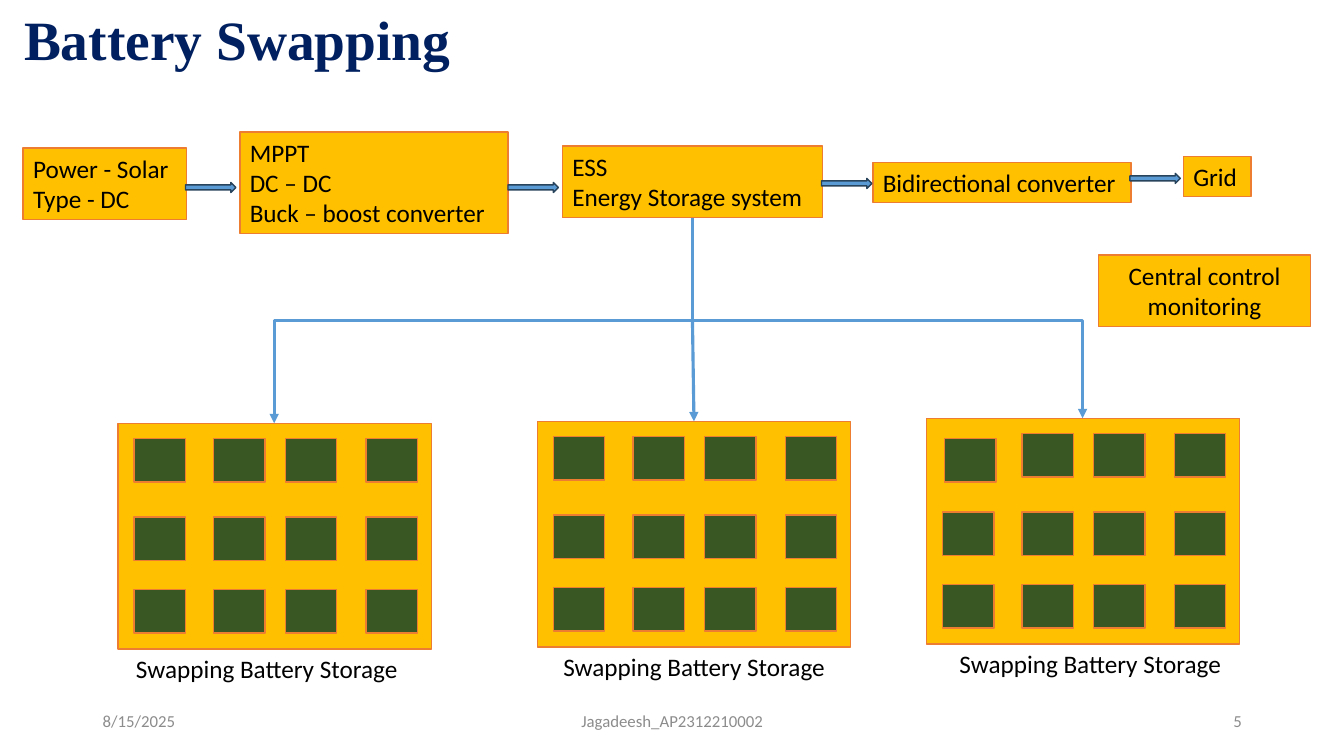
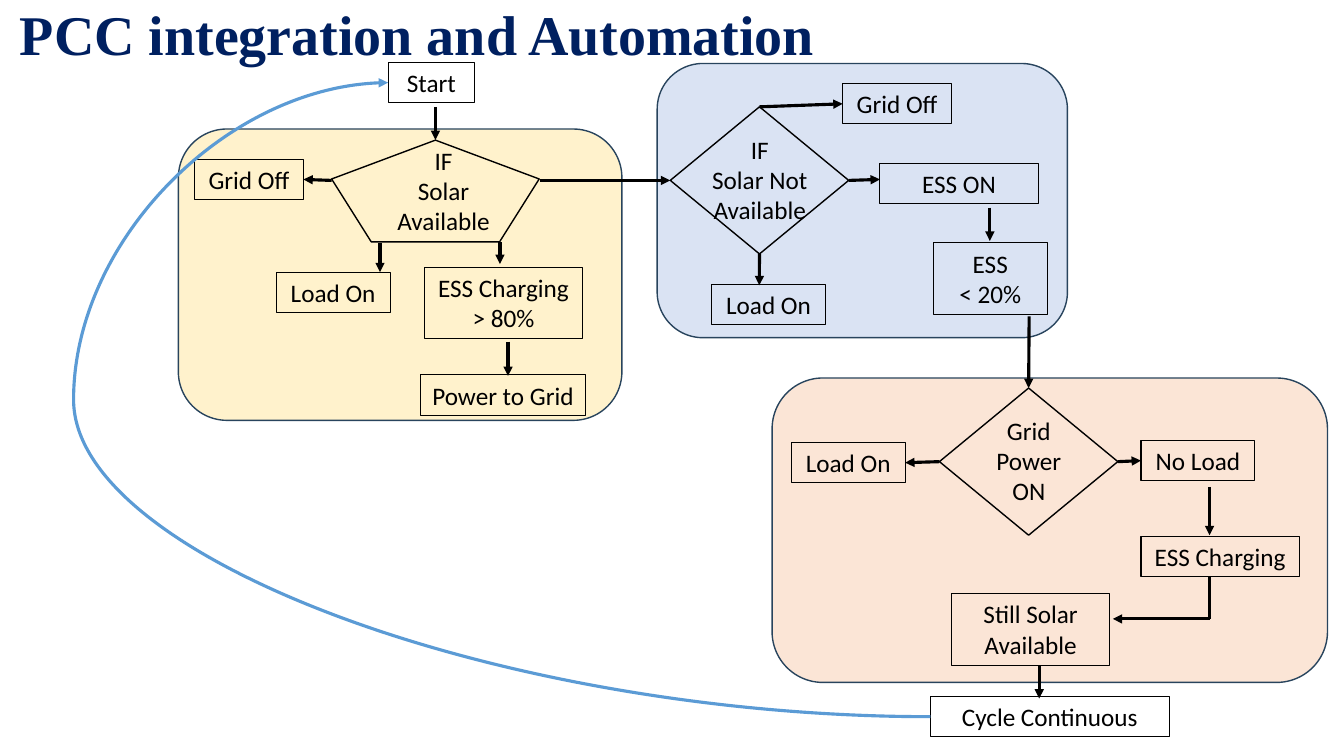
from pptx import Presentation
from pptx import util as u
from pptx.dml.color import RGBColor
from pptx.enum import shapes, text
from pptx.oxml.ns import qn
from lxml import etree

COLUMNS, ROWS = 40, 22.5
CELL = u.Inches(1) / 3
FORM = shapes.MSO_SHAPE
ALIGN = text.PP_ALIGN
ANCHOR = text.MSO_ANCHOR
TOP, LEFT, BOTTOM, RIGHT = range(4)
BOX_ROWS = {1: 1.2, 2: 2.13, 3: 3.03}

COLORS = {
    "navy": "002060",
    "gray": "8C8C8C",
    "black": "000000",
    "gold": "FFC000",
    "orange": "ED7D31",
    "green": "385723",
    "blue": "5B9BD5",
    "steel": "28445D",
    "peach": "FBE5D6",
    "sky": "DAE3F3",
    "cream": "FFF2CC",
}


def color(name):
    return RGBColor.from_string(COLORS[name])


def grid(*counts):
    return [u.Emu(round(count * CELL)) for count in counts]


def write(frame, words, size=18, font="Calibri", ink="black", bold=False,
          align=ALIGN.LEFT, anchor=ANCHOR.TOP, spacing=None):
    frame.word_wrap = True
    frame.vertical_anchor = anchor
    for index, line in enumerate(words.split("\n")):
        para = frame.paragraphs[0] if index == 0 else frame.add_paragraph()
        para.alignment = align
        if spacing:
            para.line_spacing = spacing
        span = para.add_run()
        span.text = line
        span.font.size = u.Pt(size)
        span.font.name = font
        span.font.bold = bold
        span.font.color.rgb = color(ink)


def label(page, words, left, top, width, height, **style):
    box = page.shapes.add_textbox(*grid(left, top, width, height))
    write(box.text_frame, words, **style)


def title(page, words, left, top, height, size):
    label(page, words, left, top, 34.5, height, size=size, font="Times New Roman",
          ink="navy", bold=True, anchor=ANCHOR.MIDDLE, spacing=0.9)


def footer(page, date, author, number):
    parts = [
        (date, 2.76, 9, ALIGN.LEFT),
        (author, 13.26, 13.5, ALIGN.CENTER),
        (number, 28.26, 9, ALIGN.RIGHT),
    ]
    for words, left, width, align in parts:
        label(page, words, left, 20.85, width, 1.2, size=12, ink="gray",
              align=align, anchor=ANCHOR.MIDDLE)


def shape(page, form, left, top, width, height, fill=None, edge="orange", weight=1):
    box = page.shapes.add_shape(form, *grid(left, top, width, height))
    box.shadow.inherit = False
    if fill:
        box.fill.solid()
        box.fill.fore_color.rgb = color(fill)
    else:
        box.fill.background()
    box.line.color.rgb = color(edge)
    box.line.width = u.Pt(weight)
    return box


def stage(page, words, left, top, width, lines=1, align=ALIGN.LEFT):
    box = shape(page, FORM.RECTANGLE, left, top, width, BOX_ROWS[lines], "gold")
    write(box.text_frame, words, align=align)


def step(page, words, left, top, width, lines=1):
    box = shape(page, FORM.RECTANGLE, left, top, width, BOX_ROWS[lines],
                edge="black", weight=0.75)
    write(box.text_frame, words, align=ALIGN.CENTER)
    return box


def decision(page, words, left, top):
    box = shape(page, FORM.FLOWCHART_DECISION, left, top, 5.31, 4.38, edge="black")
    label(page, words, left + 0.83, top + 0.66, 3.66, 3.03, align=ALIGN.CENTER)
    return box


def link(page, start, finish, ink="black", arrow=True, begin=None, end=None,
         kind=shapes.MSO_CONNECTOR.STRAIGHT, preset=None, turn=0, bend=None):
    if turn:
        middle = [(a + b) / 2 for a, b in zip(start, finish)]
        half = [abs(a - b) / 2 for a, b in zip(start, finish)]
        if turn == 90:
            half.reverse()
        start = [m - h for m, h in zip(middle, half)]
        finish = [m + h for m, h in zip(middle, half)]
    line = page.shapes.add_connector(kind, *grid(*start, *finish))
    line.line.color.rgb = color(ink)
    line.line.width = u.Pt(2.25)
    if begin:
        line.begin_connect(*begin)
    if end:
        line.end_connect(*end)
    properties = line._element.spPr
    geometry = properties.find(qn("a:prstGeom"))
    if turn:
        properties.find(qn("a:xfrm")).set("rot", str(turn * 60000))
    if preset:
        geometry.set("prst", preset)
    if bend:
        guide = etree.SubElement(geometry.find(qn("a:avLst")), qn("a:gd"))
        guide.set("name", "adj1")
        guide.set("fmla", f"val {round(bend * 100000)}")
    if arrow:
        tip = etree.SubElement(properties.find(qn("a:ln")), qn("a:tailEnd"))
        tip.set("type", "triangle")
    etree.SubElement(properties, qn("a:effectLst"))


def storage(page, left, top, caption_left, nudges):
    rack = shape(page, FORM.RECTANGLE, left, top, 9.33, 6.72, "gold")
    for row, down in enumerate((0.46, 2.79, 4.95)):
        for column, across in enumerate((0.48, 2.85, 4.98, 7.38)):
            right, lower = nudges.get((row, column), (0, 0))
            shape(page, FORM.RECTANGLE, left + across + right, top + down + lower,
                  1.53, 1.29, "green")
    label(page, "Swapping Battery Storage", caption_left, top + 6.7, 8.85, 1.2)
    return rack


def swapping_page(page):
    title(page, "Battery Swapping", 0.42, 0.45, 1.62, 39.6)
    footer(page, "8/15/2025", "Jagadeesh_AP2312210002", "5")

    stage(page, "Power - Solar\nType - DC", 0.69, 4.41, 4.86, 2)
    stage(page, "MPPT\nDC – DC\nBuck – boost converter", 7.14, 3.93, 7.98, 3)
    stage(page, "ESS\nEnergy Storage system", 16.74, 4.35, 7.74, 2)
    stage(page, "Bidirectional converter", 25.98, 4.83, 7.68)
    stage(page, "Grid", 35.22, 4.65, 2.01)
    stage(page, "Central control monitoring", 32.7, 7.59, 6.3, 2, ALIGN.CENTER)
    for left, top in ((5.52, 5.43), (15.12, 5.43), (24.45, 5.31), (33.63, 5.16)):
        shape(page, FORM.RIGHT_ARROW, left, top, 1.5, 0.3, "blue", "steel")

    storage(page, 3.51, 12.6, 3.75, {})
    center = storage(page, 15.99, 12.54, 16.47, {})
    storage(page, 27.57, 12.45, 28.26, {(0, 0): (0.06, 0.15)})

    elbow = shapes.MSO_CONNECTOR.ELBOW
    fork = (20.61, 9.54)
    link(page, (20.61, 6.48), (8.16, 12.6), "blue", kind=elbow, turn=90)
    link(page, fork, (20.66, 12.54), "blue", end=(center, TOP))
    link(page, fork, (32.22, 12.45), "blue", kind=elbow, preset="bentConnector2")


def automation_page(page):
    panels = [
        (22.98, 11.25, 16.53, 9.06, "peach"),
        (19.56, 1.89, 12.21, 8.16, "sky"),
        (5.31, 3.84, 13.2, 8.67, "cream"),
    ]
    for panel in panels:
        shape(page, FORM.ROUNDED_RECTANGLE, *panel, edge="steel")
    title(page, "PCC integration and Automation", 0.3, 0, 2.22, 40)

    step(page, "Start", 11.55, 1.86, 2.58)
    solar = shape(page, FORM.REGULAR_PENTAGON, 9.87, 4.17, 6.18, 3.03, edge="black")
    label(page, "IF\nSolar Available", 11.37, 4.17, 3.66, 3.03, align=ALIGN.CENTER)
    solar_grid_off = step(page, "Grid Off", 5.79, 4.74, 3.24)
    step(page, "Load On", 8.22, 8.1, 3.39)
    step(page, "ESS Charging > 80%", 12.63, 7.95, 4.71, 2)
    step(page, "Power to Grid", 12.51, 11.16, 4.92)

    no_solar = decision(page, "IF\nSolar Not Available", 19.95, 3.18)
    grid_off = step(page, "Grid Off", 25.08, 2.49, 3.24)
    step(page, "ESS ON", 26.19, 4.86, 4.71)
    step(page, "Load On", 21.18, 8.46, 3.39)
    step(page, "ESS\n< 20%", 27.78, 7.23, 3.39, 2)

    grid_power = decision(page, "Grid\nPower\nON", 27.96, 11.55)
    load_on = step(page, "Load On", 23.55, 13.17, 3.39)
    no_load = step(page, "No Load", 33.96, 13.11, 3.39)
    step(page, "ESS Charging", 33.96, 15.96, 4.71)
    step(page, "Still Solar Available", 28.32, 17.67, 4.71, 2)
    step(page, "Cycle Continuous", 27.69, 20.73, 7.11)

    link(page, (12.96, 3.18), (12.96, 4.17), end=(solar, TOP))
    link(page, (9.87, 5.37), (9.03, 5.37), end=(solar_grid_off, RIGHT))
    link(page, (16.08, 5.37), (19.95, 5.37), end=(no_solar, LEFT))
    link(page, (22.6, 3.18), (25.08, 3.06), begin=(no_solar, TOP), end=(grid_off, LEFT))
    link(page, (25.26, 5.34), (26.19, 5.34), begin=(no_solar, RIGHT))
    link(page, (22.6, 7.5), (22.6, 8.49), begin=(no_solar, BOTTOM))
    link(page, (30.63, 9.42), (30.63, 11.6), end=(grid_power, TOP))
    link(page, (27.96, 13.77), (26.94, 13.77),
         begin=(grid_power, LEFT), end=(load_on, RIGHT))
    link(page, (33.27, 13.71), (33.96, 13.71),
         begin=(grid_power, RIGHT), end=(no_load, LEFT))
    drops = [
        (11.31, 7.23, 8.1),
        (14.88, 7.2, 7.86),
        (15.12, 10.17, 11.19),
        (29.46, 6.18, 7.17),
        (36, 14.49, 15.93),
        (30.93, 19.8, 20.79),
    ]
    for across, top, bottom in drops:
        link(page, (across, top), (across, bottom))
    link(page, (36, 18.42), (36, 17.16), arrow=False)
    link(page, (36, 18.42), (33.12, 18.42))
    link(page, (27.69, 21.33), (11.55, 2.46), "blue",
         kind=shapes.MSO_CONNECTOR.CURVE, turn=180, bend=1.58)


def main():
    deck = Presentation()
    deck.slide_width, deck.slide_height = grid(COLUMNS, ROWS)
    for build in (swapping_page, automation_page):
        build(deck.slides.add_slide(deck.slide_layouts[6]))
    deck.save("out.pptx")


if __name__ == "__main__":
    main()
